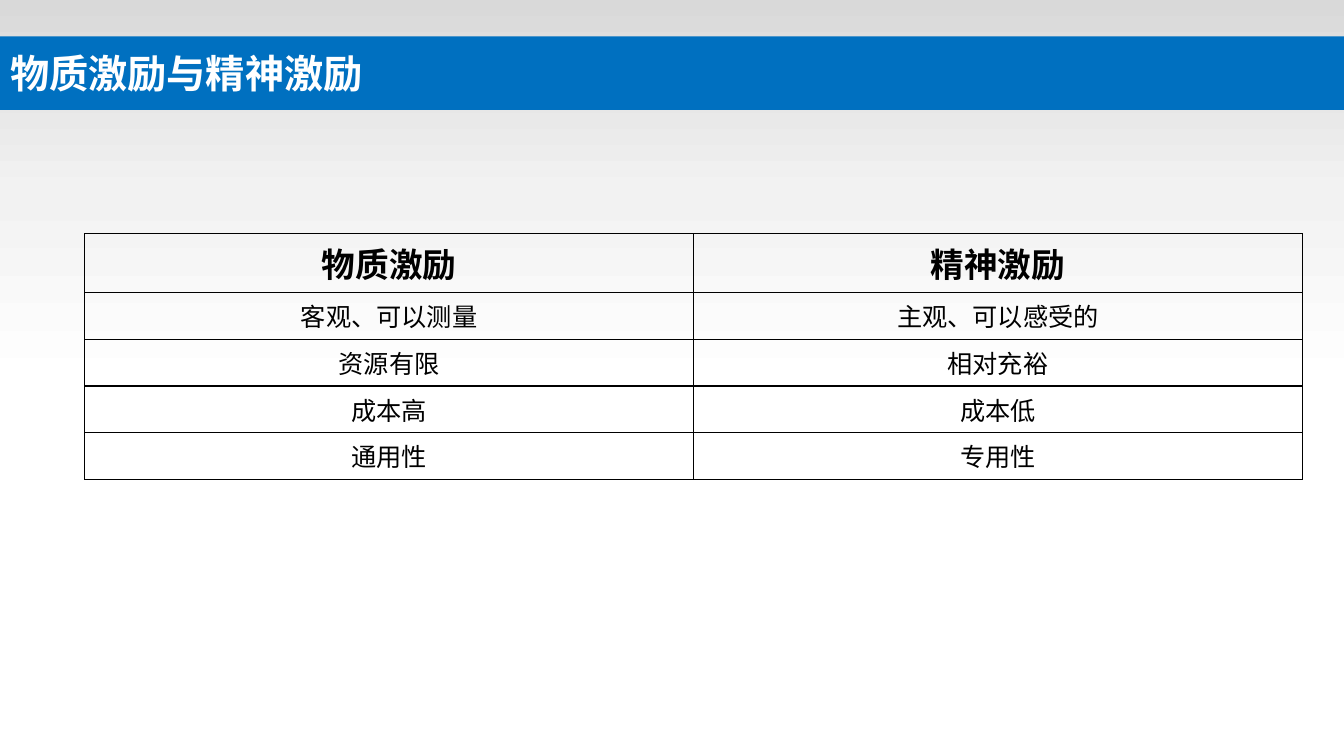
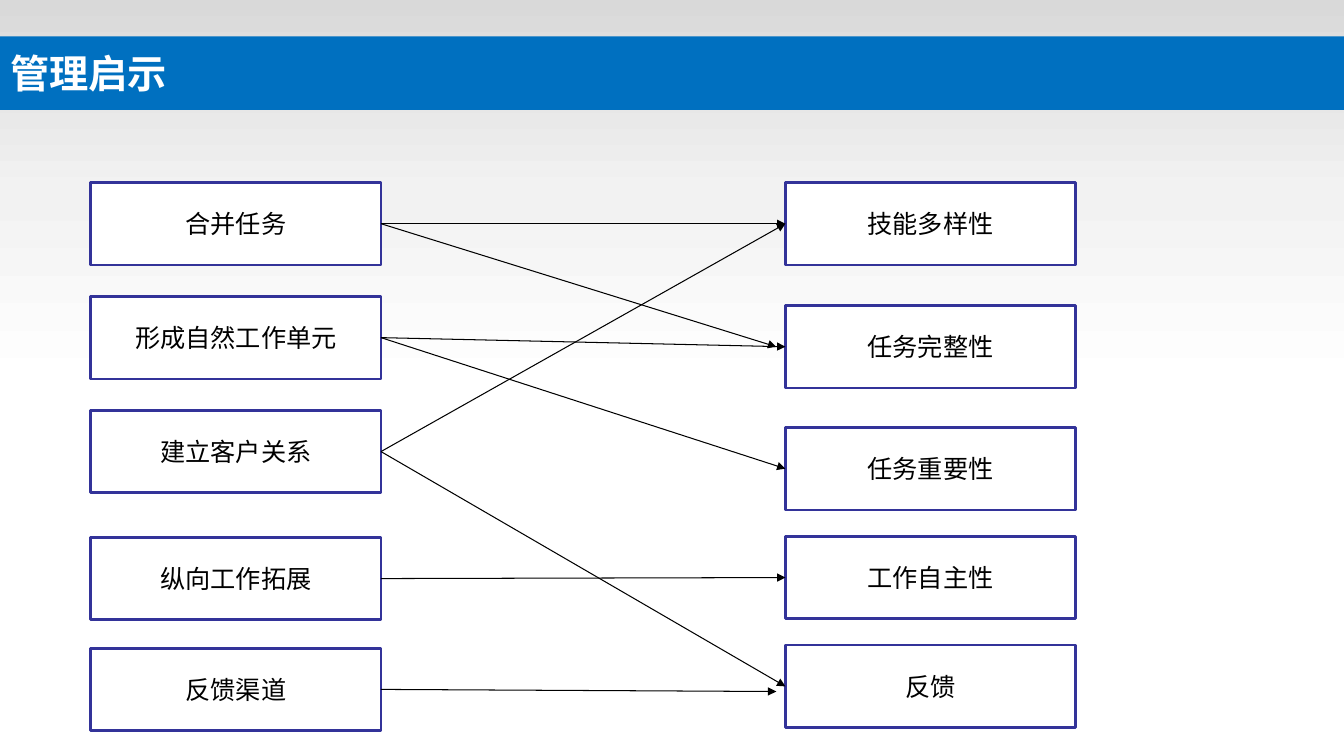
from copy import deepcopy

from lxml.etree import SubElement
from pptx import Presentation
from pptx.dml.color import RGBColor
from pptx.enum.shapes import MSO_CONNECTOR, MSO_SHAPE
from pptx.enum.text import MSO_ANCHOR, MSO_AUTO_SIZE, PP_ALIGN
from pptx.oxml.ns import qn
from pptx.util import Inches, Pt

BLUE, NAVY, GREY = "0070C0", "333399", "D9D9D9"
PALE, WHITE, BLACK = "F2F2F2", "FFFFFF", "000000"
LATIN, HAN = "Arial", "Noto Sans CJK SC"


def tint(code):
    """Turn a hex string into a colour."""
    return RGBColor.from_string(code)


class Deck:
    """Hold the style and the current slide; lengths are percent of the slide."""

    def __init__(self):
        """Open a wide deck whose layout keeps only its title."""
        self.prs = Presentation()
        self.prs.slide_width = Inches(13.33)
        self.prs.slide_height = Inches(7.5)
        self.base = self.prs.slide_layouts[5]
        for mark in list(self.base.placeholders):
            if mark.placeholder_format.idx != 0:
                mark.element.getparent().remove(mark.element)
        self.page = None

    def wide(self, part):
        """Give a share of the slide's width."""
        return round(self.prs.slide_width * part / 100)

    def high(self, part):
        """Give a share of the slide's height."""
        return round(self.prs.slide_height * part / 100)

    def area(self, left, top, width, height):
        """Give a place and size in slide units."""
        return self.wide(left), self.high(top), self.wide(width), self.high(height)

    def label(self, frame, text, size, color=BLACK, bold=False, font=LATIN,
              align=PP_ALIGN.CENTER):
        """Put one run in the first paragraph of a frame."""
        para = frame.paragraphs[0]
        para.alignment = align
        run = para.add_run()
        run.text = text
        run.font.size = Pt(size)
        run.font.bold = bold
        run.font.color.rgb = tint(color)
        run.font.name = font
        SubElement(run.font._element, qn("a:ea"), typeface=HAN)

    def rect(self, left, top, width, height, fill):
        """Draw a plain rectangle."""
        shape = self.page.shapes.add_shape(
            MSO_SHAPE.RECTANGLE, *self.area(left, top, width, height))
        shape.shadow.inherit = False
        shape.fill.solid()
        shape.fill.fore_color.rgb = tint(fill)
        shape.line.fill.background()
        return shape

    def bands(self):
        """Place the shared grey bands on the layout."""
        fade = self.rect(0, 0, 100, 51.07, WHITE)
        fade.fill.gradient()
        fade.fill.gradient_angle = 270
        first = next(fade._element.iter(qn("a:gs")))
        first.addnext(deepcopy(first))
        steps = zip(fade.fill.gradient_stops, (0, 0.5, 1), (GREY, PALE, WHITE))
        for stop, spot, color in steps:
            stop.position = spot
            stop.color.rgb = tint(color)
        strip = self.rect(0, 10.13, 100, 3.2, GREY)
        for at, shape in enumerate((fade, strip), 2):
            self.base.shapes._spTree.insert(at, shape._element)

    def slide(self, text):
        """Start a slide with its blue title bar."""
        new = self.page is None
        self.page = self.prs.slides.add_slide(self.base)
        if new:
            self.bands()
        title = self.page.shapes.title
        title.left, title.top, title.width, title.height = self.area(0, 4.8, 100, 9.73)
        title.fill.solid()
        title.fill.fore_color.rgb = tint(BLUE)
        frame = title.text_frame
        frame.auto_size = MSO_AUTO_SIZE.NONE
        frame.vertical_anchor = MSO_ANCHOR.MIDDLE
        self.label(frame, text, 28, WHITE, True, HAN, PP_ALIGN.LEFT)

    def box(self, left, top, text):
        """Draw a framed box with a centred label."""
        shape = self.rect(left, top, 21.6, 10.93, WHITE)
        shape.line.color.rgb = tint(NAVY)
        shape.line.width = Pt(2)
        frame = shape.text_frame
        frame.word_wrap = True
        frame.vertical_anchor = MSO_ANCHOR.MIDDLE
        self.label(frame, text, 18)
        return shape

    def link(self, start, goal=None, spot=(0, 0)):
        """Draw an arrow from a box to another box or to a spot."""
        line = self.page.shapes.add_connector(
            MSO_CONNECTOR.STRAIGHT, 0, 0, self.wide(spot[0]), self.high(spot[1]))
        line.begin_connect(start, 3)
        if goal is not None:
            line.end_connect(goal, 1)
        line.line.color.rgb = tint(BLACK)
        line.line.width = Pt(0.75)
        SubElement(line.line._get_or_add_ln(), qn("a:tailEnd"), type="triangle")
        SubElement(line._element.spPr, qn("a:effectLst"))

    def edge(self, cell):
        """Give a cell clear fill and thin black borders."""
        props = cell._tc.get_or_add_tcPr()
        for side in ("lnL", "lnR", "lnT", "lnB"):
            line = SubElement(props, qn(f"a:{side}"), w=str(int(Pt(1))))
            fill = SubElement(line, qn("a:solidFill"))
            SubElement(fill, qn("a:srgbClr"), val=BLACK)
        cell.fill.background()

    def table(self, left, top, width, rows):
        """Draw a ruled table with a bold head row."""
        tall = [7.75] + [6.17] * (len(rows) - 1)
        grid = self.page.shapes.add_table(
            len(rows), len(rows[0]), *self.area(left, top, width, sum(tall))).table
        grid.first_row = grid.horz_banding = False
        for r, row in enumerate(rows):
            grid.rows[r].height = self.high(tall[r])
            for c, text in enumerate(row):
                cell = grid.cell(r, c)
                self.edge(cell)
                self.label(cell.text_frame, text, 18 if r else 24, bold=r == 0)


def main():
    """Build both slides and save them."""
    deck = Deck()
    deck.slide("物质激励与精神激励")
    deck.table(6.3, 30.93, 90.6, [
        ("物质激励", "精神激励"),
        ("客观、可以测量", "主观、可以感受的"),
        ("资源有限", "相对充裕"),
        ("成本高", "成本低"),
        ("通用性", "专用性"),
    ])

    deck.slide("管理启示")
    acts = [deck.box(6.75, top, text) for top, text in (
        (24.13, "合并任务"), (39.2, "形成自然工作单元"), (54.27, "建立客户关系"),
        (71.07, "纵向工作拓展"), (85.73, "反馈渠道"))]
    traits = [deck.box(58.44, top, text) for top, text in (
        (24.13, "技能多样性"), (40.4, "任务完整性"), (56.53, "任务重要性"),
        (70.93, "工作自主性"), (85.33, "反馈"))]
    for act, trait in ((0, 0), (1, 1), (1, 2), (2, 0), (2, 4), (3, 3)):
        deck.link(acts[act], traits[trait])
    for act, top in ((0, 45.87), (4, 91.47)):
        deck.link(acts[act], spot=(57.76, top))
    deck.prs.save("out.pptx")


if __name__ == "__main__":
    main()
